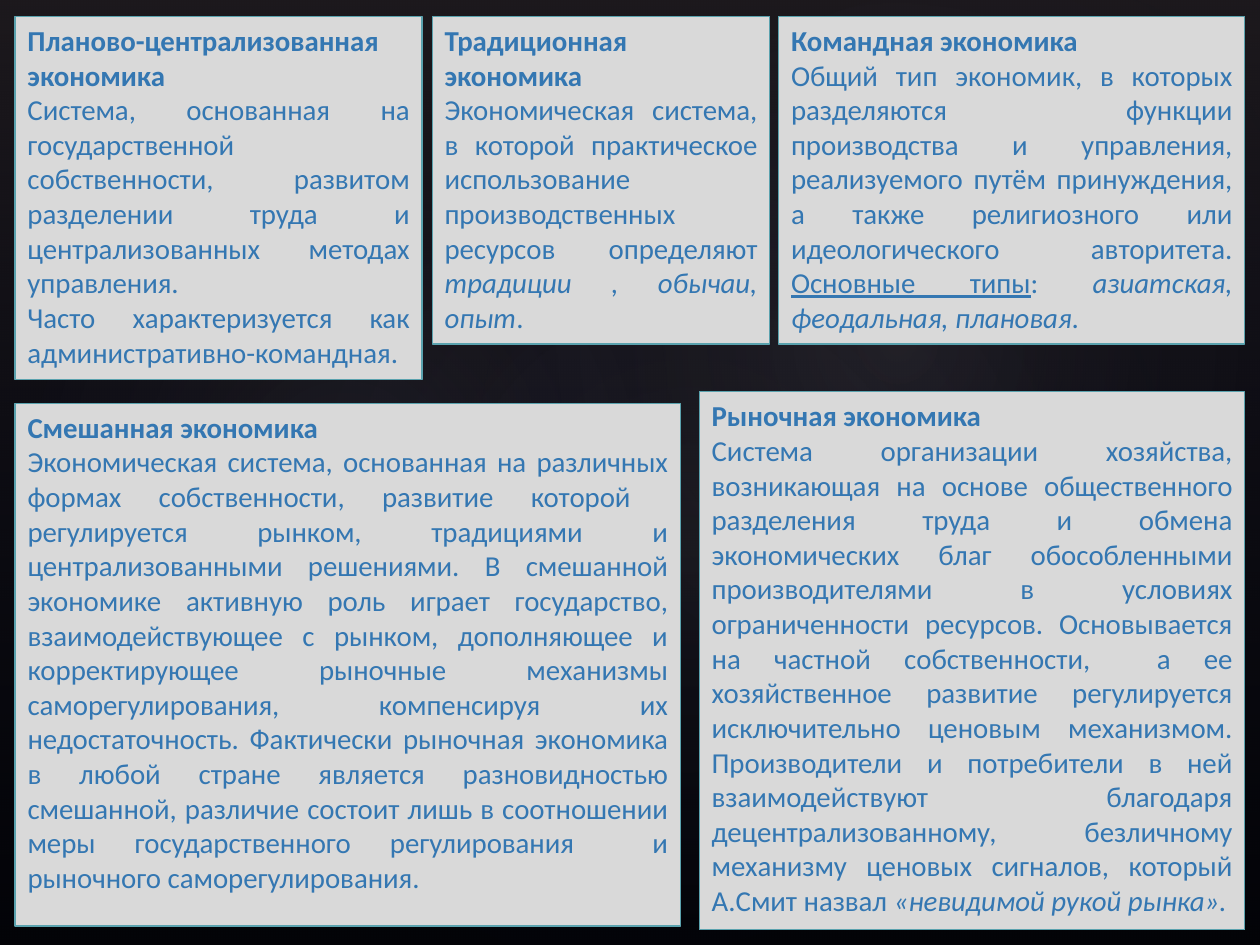
from dataclasses import dataclass

from lxml import etree
from pptx import Presentation
from pptx.dml.color import RGBColor
from pptx.enum.shapes import MSO_SHAPE
from pptx.enum.text import MSO_ANCHOR, PP_ALIGN
from pptx.oxml.ns import qn
from pptx.util import Inches, Pt

RECT, OVAL = MSO_SHAPE.RECTANGLE, MSO_SHAPE.OVAL
TOP, JUSTIFY = MSO_ANCHOR.TOP, PP_ALIGN.JUSTIFY


@dataclass(frozen=True)
class Theme:
    back: str = "000000"
    veil: str = "504652"
    navy: str = "242852"
    glow: str = "C4BCC6"
    panel: str = "D9D9D9"
    edge: str = "5AA2AE"
    ink: str = "3477B2"
    font: str = "Calibri"
    size: float = 16.5
    line: float = 0.75


def add_run(para, text, *, theme, bold=False, italic=False, under=False):
    run = para.add_run()
    run.text = text
    font = run.font
    font.name, font.size = theme.font, Pt(theme.size)
    font.bold, font.italic, font.underline = bold, italic, under
    font.color.rgb = RGBColor.from_string(theme.ink)


class Board:
    def __init__(self, slide, theme):
        self.slide, self.theme = slide, theme
        fill = slide.background.fill
        fill.solid()
        fill.fore_color.rgb = RGBColor.from_string(theme.back)

    def shape(self, kind, box):
        item = self.slide.shapes.add_shape(kind, *map(Inches, box))
        item.shadow.inherit = False
        return item

    def haze(self, kind, box, stops, turn=0):
        """Add a see-through gradient; stops hold place, colour and opacity in percent."""
        item = self.shape(kind, box)
        item.rotation = turn
        item.line.fill.background()
        item.fill.gradient()
        grad = item.fill._xPr.find(qn("a:gradFill"))
        for child in list(grad):
            grad.remove(child)
        group = etree.SubElement(grad, qn("a:gsLst"))
        for place, colour, alpha in stops:
            stop = etree.SubElement(group, qn("a:gs"), pos=str(place * 1000))
            tint = etree.SubElement(stop, qn("a:srgbClr"), val=colour)
            etree.SubElement(tint, qn("a:alpha"), val=str(alpha * 1000))
        if kind == OVAL:
            path = etree.SubElement(grad, qn("a:path"), path="circle")
            mid = dict.fromkeys("ltrb", "50000")
            etree.SubElement(path, qn("a:fillToRect"), **mid)
        else:
            etree.SubElement(grad, qn("a:lin"), ang="5400000", scaled="0")

    def panel(self, box, title, *paras):
        """Add a card; each paragraph is a list of (text, format) runs."""
        theme = self.theme
        item = self.shape(RECT, box)
        item.fill.solid()
        item.fill.fore_color.rgb = RGBColor.from_string(theme.panel)
        item.line.color.rgb = RGBColor.from_string(theme.edge)
        item.line.width = Pt(theme.line)
        frame = item.text_frame
        frame.word_wrap, frame.vertical_anchor = True, TOP
        for n, runs in enumerate([[(title, {"bold": True})], *paras]):
            para = frame.add_paragraph() if n else frame.paragraphs[0]
            para.alignment = JUSTIFY
            for text, style in runs:
                add_run(para, text, theme=theme, **style)


PLAIN, ITALIC, UNDER = {}, {"italic": True}, {"under": True}
LEFT, RIGHT, HIGH = 0.12, 9.88, 0.13

GLOWS = [
    ((1.5, 1.14, 7.92, 6.24), 328.7, 7),
    ((-0.3, 1.28, 6.06, 4.9), 294.3, 8),
    ((3.58, 0.13, 7.09, 5.2), 328.7, 8),
]

PANELS = [
    ((3.43, HIGH, 2.68, 2.6), "Традиционная экономика", [
        ("Экономическая система, в которой практическое использование "
         "производственных ресурсов определяют ", PLAIN),
        ("традиции , обычаи, опыт", ITALIC),
        (".", PLAIN)]),
    ((6.18, HIGH, RIGHT - 6.18, 2.6), "Командная экономика", [
        ("Общий тип экономик, в которых разделяются функции производства и "
         "управления, реализуемого путём принуждения, а также религиозного "
         "или идеологического авторитета. ", PLAIN),
        ("Основные типы", UNDER),
        (": ", PLAIN),
        ("азиатская, феодальная, плановая", ITALIC),
        (".", PLAIN)]),
    ((LEFT, HIGH, 3.23, 2.88), "Планово-централизованная экономика", [
        ("Система, основанная на государственной собственности, развитом "
         "разделении труда и централизованных методах управления.", PLAIN)], [
        ("Часто характеризуется как административно-командная.", PLAIN)]),
    ((5.55, 3.11, RIGHT - 5.55, 4.27), "Рыночная экономика", [
        ("Система организации хозяйства, возникающая на основе общественного "
         "разделения труда и обмена экономических благ обособленными "
         "производителями в условиях ограниченности ресурсов. Основывается "
         "на частной собственности,  а ее хозяйственное развитие "
         "регулируется исключительно ценовым механизмом. Производители и "
         "потребители в ней взаимодействуют  благодаря децентрализованному, "
         "безличному механизму ценовых сигналов, который А.Смит назвал ",
         PLAIN),
        ("«невидимой рукой рынка».", ITALIC)]),
    ((LEFT, 3.2, 5.28, 4.15), "Смешанная экономика", [
        ("Экономическая система, основанная на различных формах "
         "собственности, развитие которой  регулируется рынком, традициями "
         "и централизованными решениями. В смешанной экономике активную "
         "роль играет государство, взаимодействующее с рынком, дополняющее "
         "и корректирующее рыночные механизмы саморегулирования, "
         "компенсируя их недостаточность. Фактически рыночная экономика в "
         "любой стране является разновидностью смешанной, различие состоит "
         "лишь в соотношении меры государственного регулирования  и "
         "рыночного саморегулирования.", PLAIN)]),
]


def main():
    deck = Presentation()
    deck.slide_width, deck.slide_height = Inches(10), Inches(7.5)
    theme = Theme()
    board = Board(deck.slides.add_slide(deck.slide_layouts[6]), theme)
    board.haze(RECT, (0, 0, 10, 7.5),
               [(0, theme.veil, 36), (100, theme.navy, 10)])
    for box, turn, alpha in GLOWS:
        board.haze(OVAL, box,
                   [(0, theme.glow, alpha), (58, theme.navy, 0)], turn)
    for panel in PANELS:
        board.panel(*panel)
    deck.save("out.pptx")


if __name__ == "__main__":
    main()
